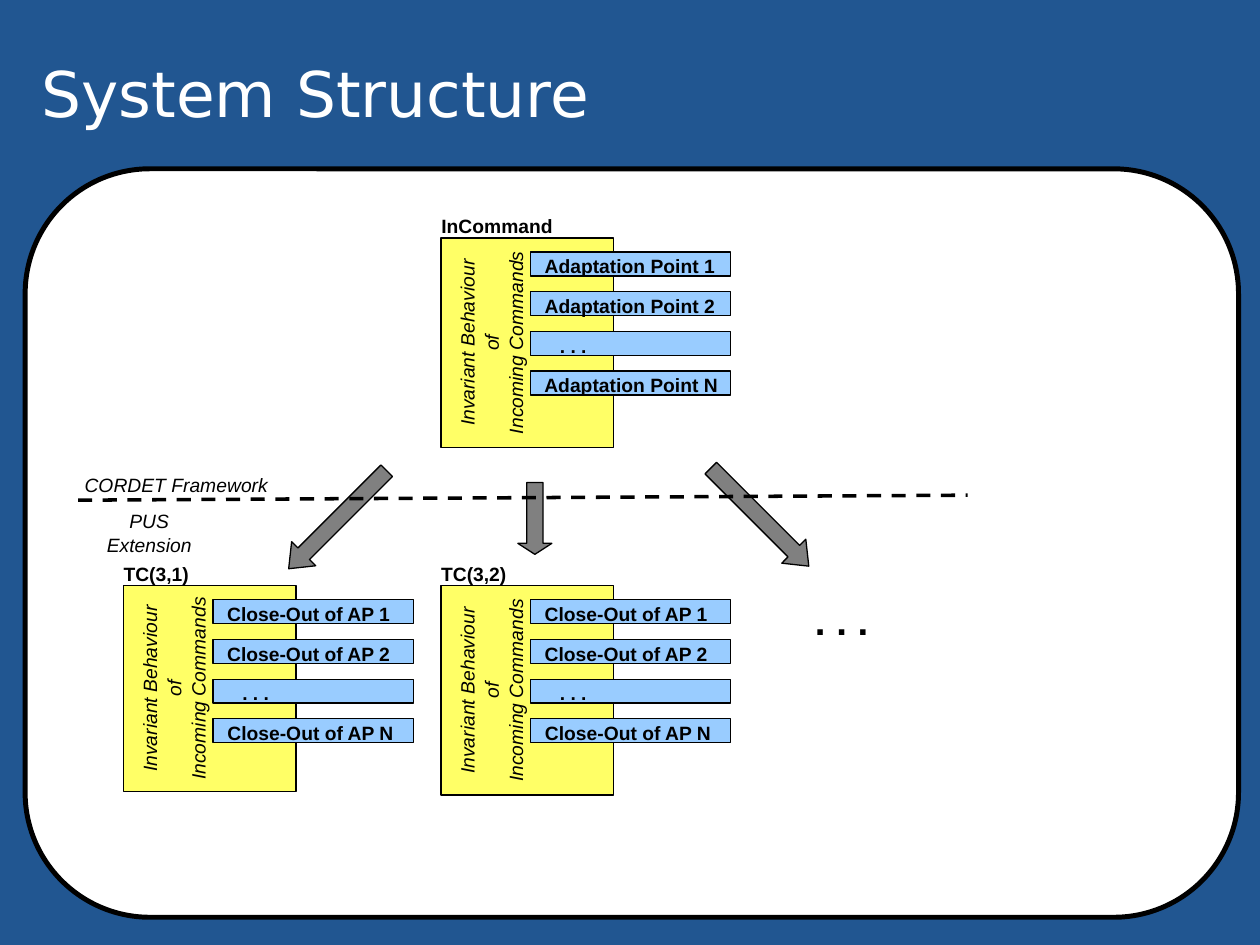
from pptx import Presentation
from pptx.dml.color import RGBColor
from pptx.enum.dml import MSO_LINE_DASH_STYLE as Dash
from pptx.enum.shapes import MSO_CONNECTOR as Conn, MSO_SHAPE as Geo
from pptx.enum.text import MSO_ANCHOR as Anchor, PP_ALIGN as Align
from pptx.util import Inches, Pt
from lxml.etree import SubElement
from pptx.oxml.ns import qn

# Content
TITLE = "System Structure"
SIDE = ["Invariant Behaviour of", "Incoming Commands"]
DOTS = ". . ."
POINTS = [("Adaptation Point 1", 1.36), ("Adaptation Point 2", 1.36),
          (DOTS, 0.46), ("Adaptation Point N", 1.38)]
CLOSES = [("Close-Out of AP 1", 1.3), ("Close-Out of AP 2", 1.3),
          (DOTS, 0.46), ("Close-Out of AP N", 1.33)]
# name, name width, left, top, height, bars
BLOCKS = [("InCommand", 0.89, 3.5, 1.89, 1.66, POINTS),
          ("TC(3,2)", 0.52, 3.5, 4.65, 1.66, CLOSES),
          ("TC(3,1)", 0.52, 0.98, 4.65, 1.63, CLOSES)]
# left, top, length, turn, head share
ARROWS = [(3.96, 3.98, 0.57, 90, 0.323),
          (2.13, 3.99, 1.1, 135, 0.623),
          (5.48, 3.97, 1.1, 45, 0.623)]
# text, left, top, width, height, size, bold
NOTES = [(DOTS, 6.45, 4.72, 0.46, 0.36, 22, True),
         ("CORDET Framework", 0.67, 3.75, 1.46, 0.18, 11, False),
         ("PUS Extension", 0.67, 4.03, 1.03, 0.18, 11, False)]

# Grid in inches
BLOCK_W, BAR_W, BAR_H = 1.37, 1.59, 0.19
BAR_X, BAR_Y, BAR_STEP = 0.71, 0.11, 0.315
TEXT_H, SIDE_W, SIDE_X = 0.18, 1.49, 0.285

BLUE, YELLOW, SKY, GREY = "215691", "FFFF66", "99CCFF", "808080"
BLACK, WHITE = "000000", "FFFFFF"

prs = Presentation()
prs.slide_width, prs.slide_height = Inches(10), Inches(7.5)
slide = prs.slides.add_slide(prs.slide_layouts[6])
shapes = slide.shapes


def rgb(code):
    return RGBColor.from_string(code)


def shape(geo, x, y, w, h, fill, line=0):
    item = shapes.add_shape(geo, *map(Inches, (x, y, w, h)))
    item.shadow.inherit = False
    item.fill.solid()
    item.fill.fore_color.rgb = rgb(fill)
    item.line.color.rgb = rgb(BLACK)
    item.line.width = Pt(line)
    return item


def text(lines, x, y, w, h, size=11, bold=False, color=BLACK, font="Arial",
         align=Align.CENTER, space=1.05, wrap=False, anchor=Anchor.TOP):
    box = shapes.add_textbox(*map(Inches, (x, y, w, h)))
    frame = box.text_frame
    frame.margin_left = frame.margin_right = 0
    frame.margin_top = frame.margin_bottom = 0
    frame.word_wrap, frame.vertical_anchor = wrap, anchor
    for n, line in enumerate(lines):
        para = frame.add_paragraph() if n else frame.paragraphs[0]
        para.alignment, para.line_spacing = align, space
        run = para.add_run()
        run.text = line
        run.font.name, run.font.size = font, Pt(size)
        run.font.bold = bold
        run.font.italic = not bold and font == "Arial"
        run.font.color.rgb = rgb(color)
    return box


# Background, panel and title
slide.background.fill.solid()
slide.background.fill.fore_color.rgb = rgb(BLUE)
shape(Geo.ROUNDED_RECTANGLE, 0.2, 1.34, 9.63, 5.94, WHITE, 2.83)
text([TITLE], 0.33, 0.11, 6.94, 1.25, 36, color=WHITE, font="DejaVu Sans",
     align=Align.LEFT, space=1, wrap=True, anchor=Anchor.MIDDLE)

# Blocks with their bars
for name, wide, x, y, h, bars in BLOCKS:
    shape(Geo.RECTANGLE, x, y, BLOCK_W, h, YELLOW)
    text([name], x, y - 0.2, wide, TEXT_H, bold=True)
    side = text(SIDE, x + SIDE_X - SIDE_W / 2, y + h / 2 - TEXT_H,
                SIDE_W, 2 * TEXT_H)
    side.rotation = 270
    for n, (label, span) in enumerate(bars):
        left, top = x + BAR_X, y + BAR_Y + n * BAR_STEP
        shape(Geo.RECTANGLE, left, top, BAR_W, BAR_H, SKY)
        text([label], left + 0.11, top + 0.01, span, TEXT_H, bold=True)

# Arrows from the framework to its extensions
for x, y, size, turn, head in ARROWS:
    arrow = shape(Geo.RIGHT_ARROW, x, y, size, 0.27, GREY)
    arrow.adjustments[0], arrow.adjustments[1] = 0.481, head
    arrow.rotation = turn

# Dashed border and its labels
edge = shapes.add_connector(Conn.STRAIGHT,
                            *map(Inches, (0.62, 3.97, 7.68, 3.93)))
edge.line.color.rgb = rgb(BLACK)
edge.line.width = Pt(0)
edge.line.dash_style = Dash.DASH
SubElement(edge._element.spPr, qn("a:effectLst"))
for note, x, y, w, h, size, bold in NOTES:
    text([note], x, y, w, h, size, bold)

prs.save("out.pptx")
